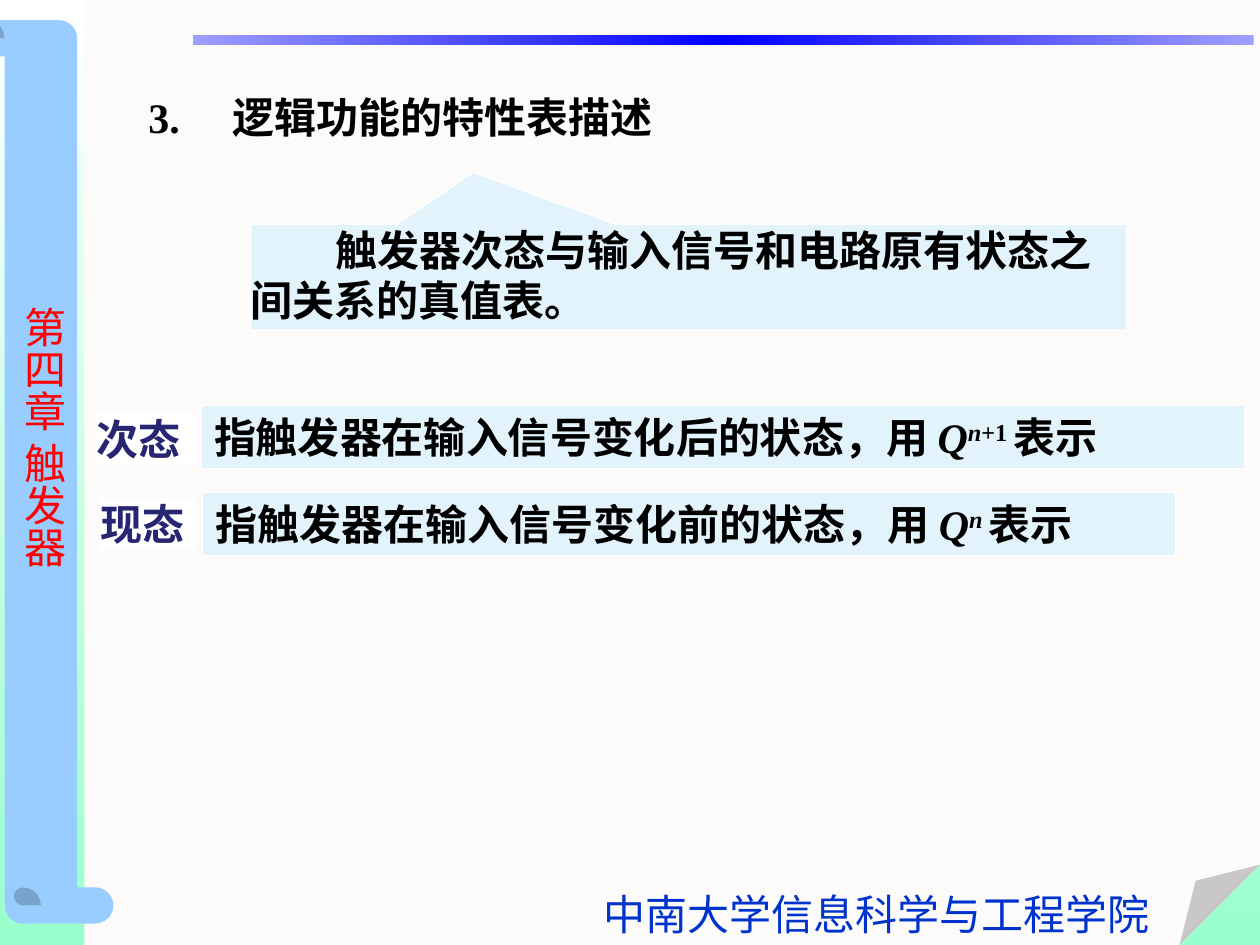
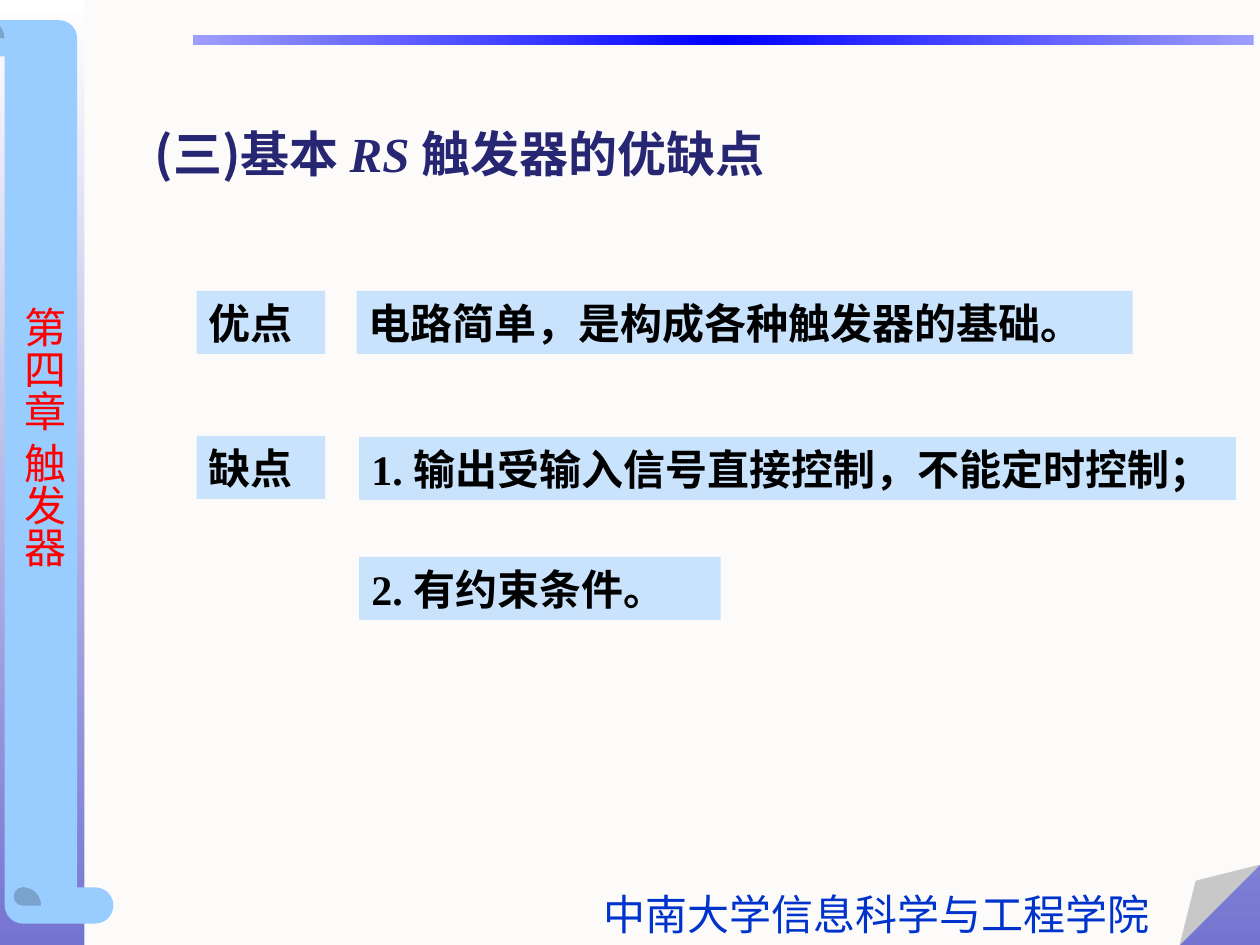
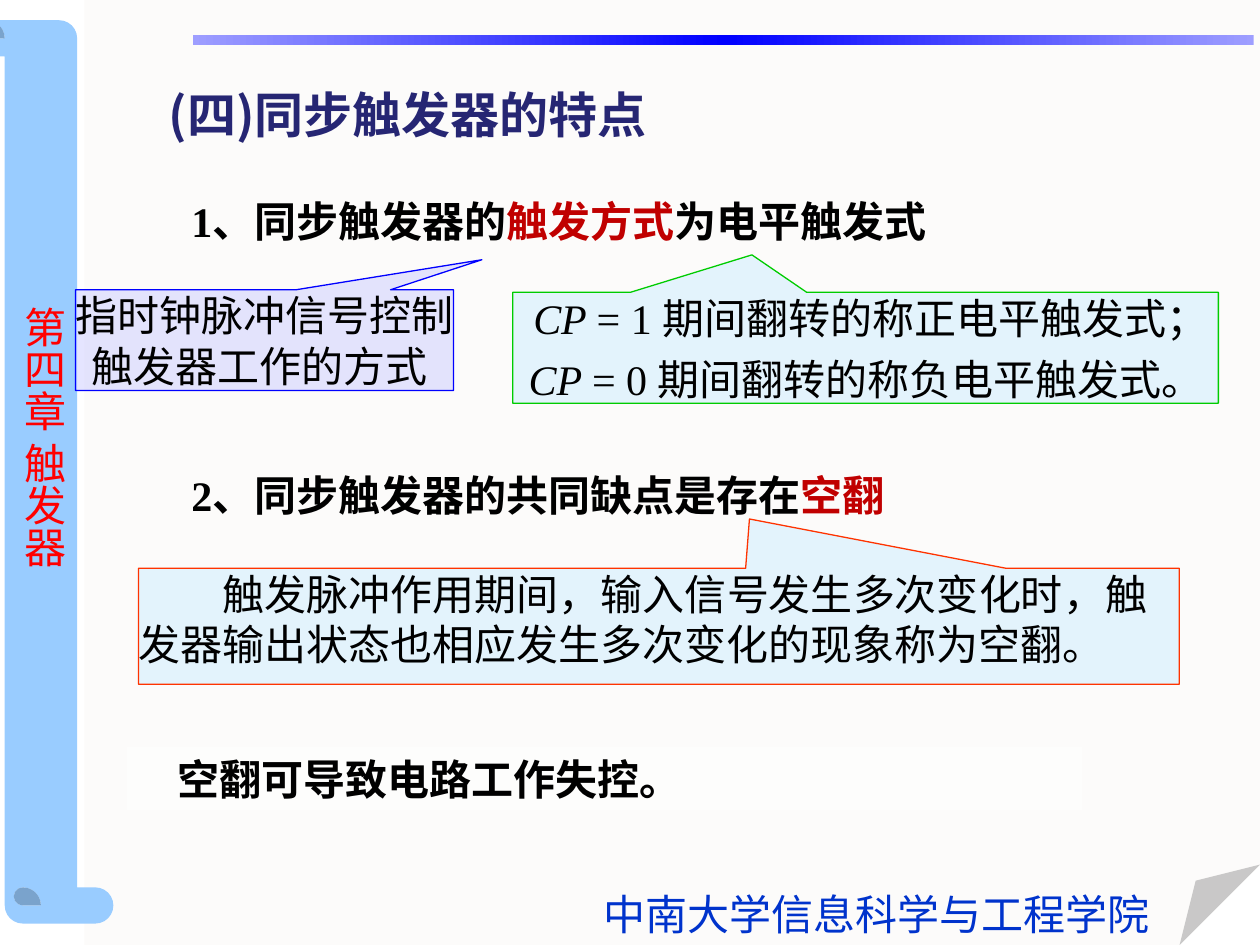
import copy

import pptx
import pptx.dml.color
import pptx.enum.shapes
import pptx.enum.text
import pptx.oxml
import pptx.oxml.ns
import pptx.util

Inches = pptx.util.Inches
Pt = pptx.util.Pt
Shape = pptx.enum.shapes.MSO_SHAPE
Align = pptx.enum.text.PP_ALIGN
qn = pptx.oxml.ns.qn

SERIF = "Times New Roman"
SANS = "Noto Sans CJK SC"
PADDED = (0.1, 0.05, 0.1, 0.05)
FLUSH = (0, 0, 0, 0)

COLOURS = {
    "white": "FFFFFF",
    "black": "000000",
    "mint": "99FFCC",
    "violet": "7575D1",
    "paper": "FCFBFA",
    "scroll": "99CCFF",
    "bar_end": "9E9EFF",
    "blue": "0000FF",
    "footer": "0033CC",
    "chapter": "FF0000",
    "heading": "262673",
    "pale_blue": "CCECFF",
    "lavender": "CCCCFF",
    "keyword": "C00000",
    "orange": "FF3300",
    "green": "00CC00",
}


def colour(name):
    return pptx.dml.color.RGBColor.from_string(COLOURS[name])


def make_element(tag, attributes):
    return pptx.oxml.parse_xml(f'<a:{tag} {pptx.oxml.ns.nsdecls("a")} {attributes}/>')


def paint_gradient(fill, owner, names, angle):
    fill.gradient()
    fill.gradient_angle = angle
    stop_list = next(owner.iter(qn("a:gsLst")))
    while len(stop_list) < len(names):
        stop_list.append(copy.deepcopy(stop_list[-1]))
    for index, (stop, name) in enumerate(zip(fill.gradient_stops, names)):
        stop.color.rgb = colour(name)
        stop.position = index / (len(names) - 1)


def set_guides(figure, values):
    guides = next(figure._element.iter(qn("a:avLst")))
    for guide in list(guides):
        guides.remove(guide)
    names = ["adj"] if len(values) == 1 else ["adj1", "adj2"]
    for name, value in zip(names, values):
        guides.append(make_element("gd", f'name="{name}" fmla="val {round(value * 100000)}"'))


def add_figure(page, kind, place, fill=None, alpha=100, line=None, adjust=()):
    figure = page.shapes.add_shape(kind, *map(Inches, place))
    figure.shadow.inherit = False
    if adjust:
        set_guides(figure, adjust)
    if fill:
        figure.fill.solid()
        figure.fill.fore_color.rgb = colour(fill)
    if alpha < 100:
        tint = next(figure._element.spPr.iter(qn("a:srgbClr")))
        tint.append(make_element("alpha", f'val="{alpha * 1000}"'))
    if line:
        figure.line.color.rgb = colour(line)
        figure.line.width = Pt(0.75)
    else:
        figure.line.fill.background()
    return figure


def add_span(para, text, italic=None, tone=None, raised=False, face=None):
    span = para.add_run()
    span.text = text
    if italic:
        span.font.italic = True
    if tone:
        span.font.color.rgb = colour(tone)
    if face:
        span.font.name = face
    if raised:
        span._r.get_or_add_rPr().set("baseline", "30000")


def write(box, paras, size=24, face=SERIF, tone="black", bold=True, align=Align.LEFT,
          insets=PADDED, wrap=True, left=0, indent=0):
    frame = box.text_frame
    frame.word_wrap = wrap
    frame.vertical_anchor = pptx.enum.text.MSO_ANCHOR.TOP
    (frame.margin_left, frame.margin_top,
     frame.margin_right, frame.margin_bottom) = map(Inches, insets)
    for index, spans in enumerate(paras):
        para = frame.add_paragraph() if index else frame.paragraphs[0]
        if index:
            para.space_before = Pt(6)
        para.alignment = align
        para.line_spacing = Pt(size * 1.2)
        properties = para._p.get_or_add_pPr()
        properties.set("marL", str(Inches(left)))
        properties.set("indent", str(Inches(indent)))
        para.font.size = Pt(size)
        para.font.name = face
        para.font.bold = bold
        para.font.color.rgb = colour(tone)
        latin = next(properties.iter(qn("a:latin")))
        latin.addnext(make_element("ea", f'typeface="{SANS}"'))
        for text, look in spans:
            if text == "\n":
                para.add_line_break()
            else:
                add_span(para, text, **look)


def plain(text):
    return [[(text, {})]]


def add_text(page, place, paras, **style):
    box = page.shapes.add_textbox(*map(Inches, place))
    write(box, paras, **style)
    return box


def add_heading(page, place, spans):
    add_text(page, place, [spans], size=28, face=SANS, tone="heading")


def add_panel(page, place, paras, fill="scroll", line=None, **style):
    panel = add_figure(page, Shape.RECTANGLE, place, fill, 50, line)
    write(panel, paras, **style)


def add_tag(page, place, text):
    tag = add_figure(page, Shape.RECTANGLE, place, "white", line="white")
    write(tag, plain(text), tone="heading", insets=FLUSH)


def add_callout(page, place, tip, paras, line, fill="pale_blue", **style):
    callout = add_figure(page, Shape.RECTANGULAR_CALLOUT, place, fill, 50, line, tip)
    write(callout, paras, insets=FLUSH, **style)


def add_page(deck, bottom):
    page = deck.slides.add_slide(deck.slide_layouts[6])
    background = page.background.fill
    if bottom == "white":
        background.solid()
        background.fore_color.rgb = colour("white")
    else:
        paint_gradient(background, page._element, ["white", bottom], 270)
    add_figure(page, Shape.FOLDED_CORNER, (0.67, 0, 9.33, 7.5), "paper", adjust=[0.085])
    scroll = add_figure(page, Shape.HORIZONTAL_SCROLL, (-3.26, 3.17, 7.17, 1.15),
                        "scroll", adjust=[0.25])
    scroll.rotation = 270
    bar = add_figure(page, Shape.RECTANGLE, (1.53, 0.28, 8.42, 0.08))
    paint_gradient(bar.fill, bar._element, ["bar_end", "blue", "bar_end"], 0)
    add_text(page, (4.69, 7, 4.53, 0.5), plain("中南大学信息科学与工程学院"),
             tone="footer", bold=False, wrap=False)
    chapter = add_text(page, (0, 2.33, 0.6, 2.27), plain("第四章 触发器"), face=SANS,
                       tone="chapter", bold=False, wrap=False, insets=(0.05, 0.1, 0.05, 0.1))
    chapter.text_frame._txBody.bodyPr.set("vert", "eaVert")
    return page


def build_characteristic_table_page(deck):
    page = add_page(deck, "mint")
    add_text(page, (1.08, 0.68, 4.39, 0.5), plain("3.\t逻辑功能的特性表描述"),
             left=0.67, indent=-0.67)
    add_tag(page, (0.77, 3.28, 0.77, 0.4), "次态")
    add_tag(page, (0.8, 3.96, 0.74, 0.4), "现态")
    raised = {"italic": True, "raised": True}
    state = ("Q", {"italic": True})
    add_panel(page, (1.61, 3.91, 7.72, 0.5),
              [[("指触发器在输入信号变化前的状态，用 ", {}), state, ("n ", raised),
                ("表示", {})]], "pale_blue", "white")
    add_panel(page, (1.6, 3.22, 8.28, 0.5),
              [[("指触发器在输入信号变化后的状态，用 ", {}), state, ("n", raised),
                ("+1 ", {"raised": True}), ("表示", {})]], "pale_blue", "white")
    add_callout(page, (1.99, 1.78, 6.95, 0.84), (-0.246, -0.991),
                plain("触发器次态与输入信号和电路原有状态之间关系的真值表。"),
                "white", indent=0.67)


def build_pros_and_cons_page(deck):
    page = add_page(deck, "violet")
    add_heading(page, (1.13, 0.93, 5.72, 0.57),
                [("(三)基本 ", {}), ("RS ", {"italic": True, "face": SERIF}),
                 ("触发器的优缺点", {})])
    panels = [
        (1.56, 2.31, 1.02, "优点"),
        (1.56, 3.46, 1.02, "缺点"),
        (2.83, 2.31, 6.16, "电路简单，是构成各种触发器的基础。"),
        (2.85, 3.47, 6.96, "1. 输出受输入信号直接控制，不能定时控制；"),
        (2.85, 4.42, 2.87, "2. 有约束条件。"),
    ]
    for left, top, width, text in panels:
        add_panel(page, (left, top, width, 0.5), plain(text))


def build_synchronous_page(deck):
    page = add_page(deck, "white")
    keyword = {"tone": "keyword"}
    italic = {"italic": True}
    add_heading(page, (1.24, 0.62, 5.68, 0.57), [("(四)同步触发器的特点", {})])
    add_text(page, (1.42, 1.5, 6.18, 0.5),
             [[("1、同步触发器的", {}), ("触发方式", keyword), ("为电平触发式", {})]])
    add_text(page, (1.42, 3.68, 6.7, 0.5),
             [[("2、同步触发器的共同缺点是存在", {}), ("空翻", keyword)]])
    add_callout(page, (1.1, 4.51, 8.26, 0.92), (0.087, -0.925),
                plain("触发脉冲作用期间，输入信号发生多次变化时，"
                      "触发器输出状态也相应发生多次变化的现象称为空翻。"),
                "orange", face=SANS, bold=False, indent=0.67)
    add_panel(page, (1.01, 5.93, 7.58, 0.5), plain("空翻可导致电路工作失控。"),
              "white", face=SANS, indent=0.3)
    centred = {"bold": False, "align": Align.CENTER, "wrap": False}
    add_callout(page, (0.6, 2.3, 3, 0.8), (0.575, -0.798),
                [[("指时钟脉冲信号控制", {}), ("\n", {}), ("触发器工作的方式 ", {})]],
                "blue", "lavender", **centred)
    add_callout(page, (4.07, 2.32, 5.6, 0.88), (-0.161, -0.838),
                [[(" CP ", italic), ("= 1 期间翻转的称正电平触发式；", {})],
                 [(" CP ", italic), ("= 0 期间翻转的称负电平触发式。 ", {})]],
                "green", **centred)


def main():
    deck = pptx.Presentation()
    deck.slide_width = Inches(10)
    deck.slide_height = Inches(7.5)
    build_characteristic_table_page(deck)
    build_pros_and_cons_page(deck)
    build_synchronous_page(deck)
    deck.save("out.pptx")


if __name__ == "__main__":
    main()
